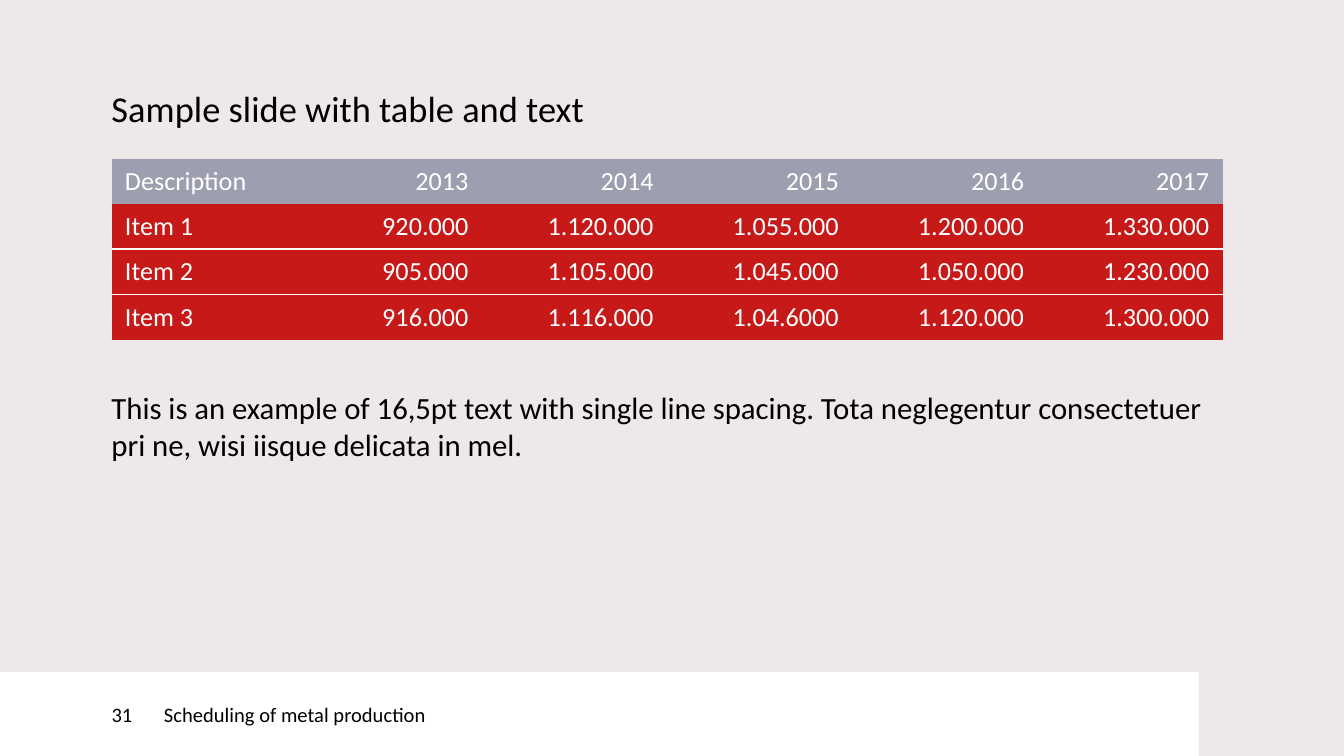
import pptx
import pptx.util
import pptx.dml.color
import pptx.enum.shapes
import pptx.enum.text
import pptx.oxml.ns
from lxml import etree

Inches = pptx.util.Inches
Pt = pptx.util.Pt
RGBColor = pptx.dml.color.RGBColor
ANCHOR = pptx.enum.text.MSO_ANCHOR
ALIGN = pptx.enum.text.PP_ALIGN
qn = pptx.oxml.ns.qn

TITLE = "Sample slide with table and text"
BODY = (
    "This is an example of 16,5pt text with single line spacing. "
    "Tota neglegentur consectetuer pri ne, wisi iisque delicata in mel."
)
FOOTER = "Scheduling of metal production"
PAGE = "31"
ROWS = [
    ("Description", "2013", "2014", "2015", "2016", "2017"),
    ("Item 1", "920.000", "1.120.000", "1.055.000", "1.200.000", "1.330.000"),
    ("Item 2", "905.000", "1.105.000", "1.045.000", "1.050.000", "1.230.000"),
    ("Item 3", "916.000", "1.116.000", "1.04.6000", "1.120.000", "1.300.000"),
]

FONT = "Calibri"
BACKGROUND = RGBColor(0xEE, 0xE8, 0xE8)
BLACK = RGBColor(0, 0, 0)
WHITE = RGBColor(0xFF, 0xFF, 0xFF)
GREY = RGBColor(0x9E, 0x9E, 0xB1)
RED = RGBColor(0xC8, 0x19, 0x19)
NO_STYLE = "{2D5ABB26-0587-4C30-8999-92F81FD0307C}"

SLIDE_W = 10
SLIDE_H = SLIDE_W * 9 / 16
MARGIN, CONTENT_W = 0.83, 8.27
FOOTER_TOP = 5
FOOTER_H = SLIDE_H - FOOTER_TOP
PAGE_W, FOOTER_W = 1.22, 7.7
TABLE_TOP, TABLE_H = 1.18, 1.35


def write(tf, text, size, color=BLACK, align=ALIGN.LEFT):
    tf.text = text
    p = tf.paragraphs[0]
    p.alignment = align
    font = p.runs[0].font
    font.name, font.size = FONT, Pt(size)
    font.color.rgb = color


def clear_margins(tf, left=0):
    tf.margin_left = Inches(left)
    tf.margin_top = tf.margin_right = tf.margin_bottom = 0


def add_text(s, top, height, text, size, wrap):
    box = s.shapes.add_textbox(
        Inches(MARGIN), Inches(top), Inches(CONTENT_W), Inches(height))
    tf = box.text_frame
    tf.word_wrap = wrap
    clear_margins(tf)
    write(tf, text, size)


def add_footer(s, left, width, text, inset):
    sp = s.shapes.add_shape(
        pptx.enum.shapes.MSO_SHAPE.RECTANGLE,
        Inches(left), Inches(FOOTER_TOP), Inches(width), Inches(FOOTER_H))
    sp.shadow.inherit = False
    sp.fill.solid()
    sp.fill.fore_color.rgb = WHITE
    sp.line.fill.background()
    tf = sp.text_frame
    tf.vertical_anchor = ANCHOR.MIDDLE
    clear_margins(tf, inset)
    write(tf, text, 11)


def add_border(cell, side):
    ln = etree.SubElement(cell._tc.get_or_add_tcPr(), qn(f"a:{side}"), w=str(Pt(1)))
    fill = etree.SubElement(ln, qn("a:solidFill"))
    etree.SubElement(fill, qn("a:srgbClr"), val=str(WHITE))


def add_data_table(s):
    n_rows, n_cols = len(ROWS), len(ROWS[0])
    table = s.shapes.add_table(
        n_rows, n_cols, Inches(MARGIN), Inches(TABLE_TOP),
        Inches(CONTENT_W), Inches(TABLE_H)).table
    table.first_row = table.horz_banding = False
    table._tbl.tblPr.find(qn("a:tableStyleId")).text = NO_STYLE
    for i, row in enumerate(ROWS):
        for j, text in enumerate(row):
            cell = table.cell(i, j)
            cell.vertical_anchor = ANCHOR.MIDDLE
            if i > 1:
                add_border(cell, "lnT")
            if 0 < i < n_rows - 1:
                add_border(cell, "lnB")
            cell.fill.solid()
            cell.fill.fore_color.rgb = RED if i else GREY
            write(cell.text_frame, text, 14, WHITE, ALIGN.RIGHT if j else ALIGN.LEFT)


prs = pptx.Presentation()
prs.slide_width, prs.slide_height = Inches(SLIDE_W), Inches(SLIDE_H)
s = prs.slides.add_slide(prs.slide_layouts[6])
s.background.fill.solid()
s.background.fill.fore_color.rgb = BACKGROUND

add_text(s, 0.64, 0.56, TITLE, 19.5, False)
add_text(s, 2.89, 1.74, BODY, 16.5, True)
add_footer(s, PAGE_W, FOOTER_W, FOOTER, 0)
add_footer(s, 0, PAGE_W, PAGE, MARGIN)
add_data_table(s)

prs.save("out.pptx")
